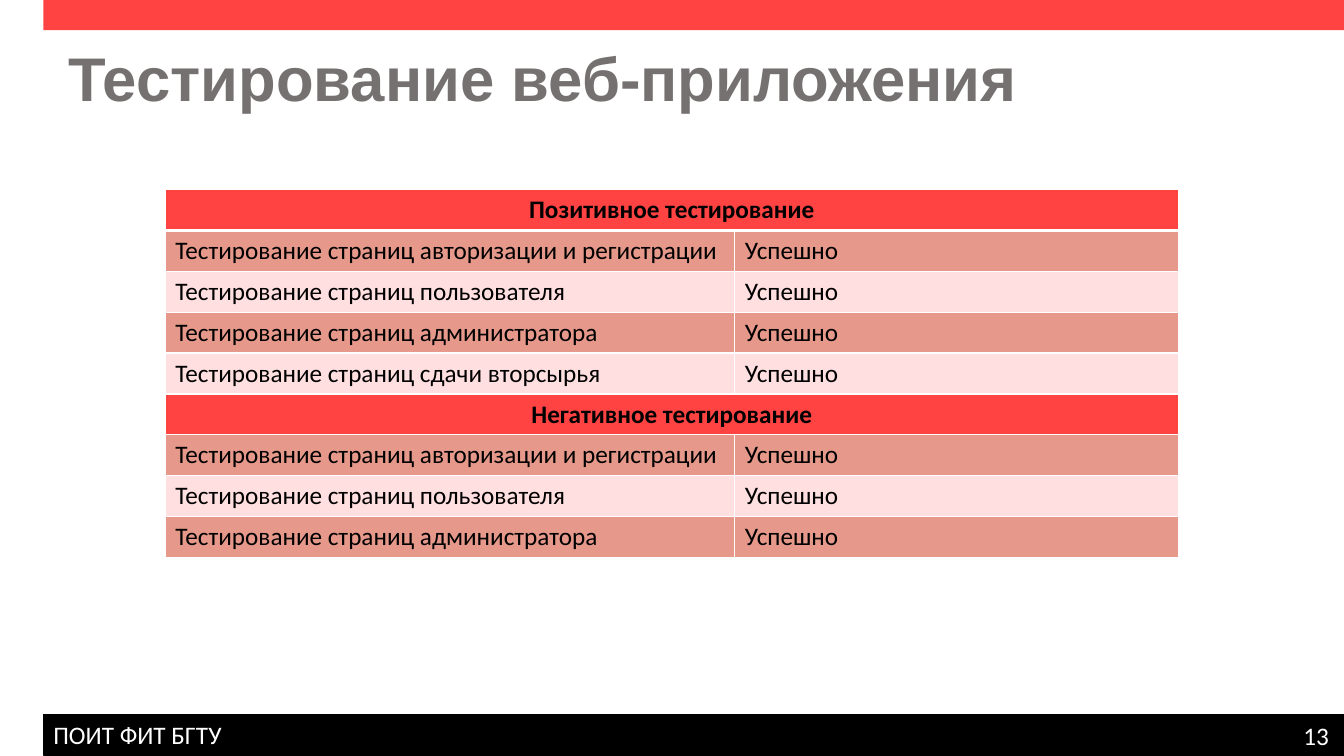
from pptx import Presentation
from pptx import util as u
from pptx.dml.color import RGBColor
from pptx.enum import shapes, text
from pptx.oxml import parse_xml
from pptx.oxml.ns import nsdecls

# Content
TITLE = "Тестирование веб-приложения"
FOOTER, PAGE = "ПОИТ ФИТ БГТУ", "13"
PASSED = "Успешно"
GROUPS = [
    ("Позитивное тестирование", [
        "Тестирование страниц авторизации и регистрации",
        "Тестирование страниц пользователя",
        "Тестирование страниц администратора",
        "Тестирование страниц сдачи вторсырья",
    ]),
    ("Негативное тестирование", [
        "Тестирование страниц авторизации и регистрации",
        "Тестирование страниц пользователя",
        "Тестирование страниц администратора",
    ]),
]
HEX = {"red": "FF4343", "dark": "E6998A", "light": "FFDFDF",
       "black": "000000", "white": "FFFFFF", "gray": "767171"}
WIDTHS = [406.8, 316.8]
ROW = 29.2


def color(name):
    return RGBColor.from_string(HEX[name])


def write(frame, words, size=18, font="Calibri", ink="black", bold=False,
          align=text.PP_ALIGN.LEFT, space=1.0):
    par = frame.paragraphs[0]
    par.alignment, par.line_spacing = align, space
    run = par.add_run()
    run.text = words
    run.font.size, run.font.name, run.font.bold = u.Pt(size), font, bold
    run.font.color.rgb = color(ink)


def bar(x, y, w, h, fill):
    shape = deck.shapes.add_shape(shapes.MSO_SHAPE.RECTANGLE,
                                  u.Pt(x), u.Pt(y), u.Pt(w), u.Pt(h))
    shape.shadow.inherit = False
    shape.fill.solid()
    shape.fill.fore_color.rgb = color(fill)
    shape.line.fill.background()
    return shape


def label(x, y, w, h, words, **form):
    frame = deck.shapes.add_textbox(u.Pt(x), u.Pt(y), u.Pt(w), u.Pt(h)).text_frame
    frame.word_wrap = True
    write(frame, words, **form)


def paint(cell, fill, base=1):
    # Borders must stand before the fill in the cell properties
    props = cell._tc.get_or_add_tcPr()
    for side, width in (("L", 1), ("R", 1), ("T", 1), ("B", base)):
        props.append(parse_xml(
            f'<a:ln{side} {nsdecls("a")} w="{u.Pt(width)}"><a:solidFill>'
            f'<a:srgbClr val="{HEX["white"]}"/></a:solidFill></a:ln{side}>'))
    cell.fill.solid()
    cell.fill.fore_color.rgb = color(fill)


show = Presentation()
show.slide_width, show.slide_height = u.Pt(960), u.Pt(540)
deck = show.slides.add_slide(show.slide_layouts[6])

# Top and bottom bars, page number
bar(31, 0, 929, 21.6, "red")
foot = bar(31, 510.5, 929, 28.8, "black")
foot.line.color.rgb = color("black")
foot.line.width = u.Pt(1)
foot.text_frame.vertical_anchor = text.MSO_ANCHOR.MIDDLE
write(foot.text_frame, FOOTER, ink="white")
label(924, 511.2, 36, 28.8, PAGE, ink="white")

# Title
label(41.8, 31, 856, 104.4, TITLE, size=44, font="Arial", ink="gray",
      bold=True, space=0.9)

# Table of tests: a merged heading, then banded rows
count = sum(1 + len(tests) for _, tests in GROUPS)
grid = deck.shapes.add_table(count, len(WIDTHS), u.Pt(118.1), u.Pt(135.4),
                             u.Pt(sum(WIDTHS)), u.Pt(ROW * count)).table
for col, width in zip(grid.columns, WIDTHS):
    col.width = u.Pt(width)
for line in grid.rows:
    line.height = u.Pt(ROW)

row = 0
for head, tests in GROUPS:
    first, last = grid.cell(row, 0), grid.cell(row, 1)
    first.merge(last)
    for cell in (first, last):
        paint(cell, "red", 1 if row else 3)
    write(first.text_frame, head, bold=True, align=text.PP_ALIGN.CENTER)
    for step, test in enumerate(tests):
        for col, words in enumerate((test, PASSED)):
            cell = grid.cell(row + 1 + step, col)
            paint(cell, "light" if step % 2 else "dark",)
            write(cell.text_frame, words)
    row += 1 + len(tests)

show.save("out.pptx")
